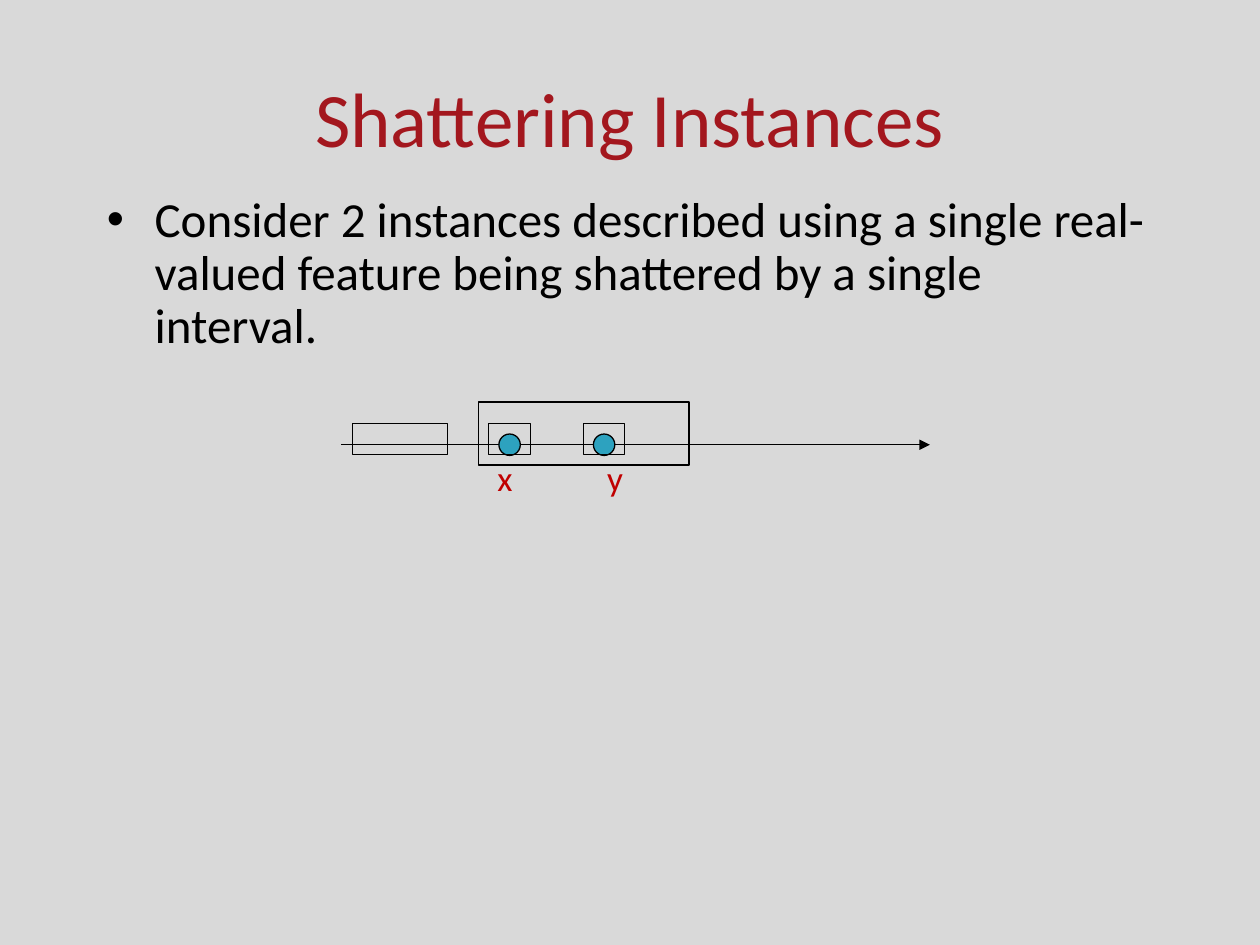
from dataclasses import dataclass

import pptx
import pptx.dml.color
import pptx.enum.shapes
import pptx.enum.text
import pptx.oxml
import pptx.oxml.ns
import pptx.util

Inches = pptx.util.Inches
Pt = pptx.util.Pt
Shape = pptx.enum.shapes.MSO_SHAPE
Align = pptx.enum.text.PP_ALIGN
Anchor = pptx.enum.text.MSO_ANCHOR

BLACK = "000000"
AXIS_Y = 3.53
POINT_SIZE = 0.17


@dataclass
class Area:
    left: float
    top: float
    width: float
    height: float

    def lengths(self) -> list:
        return [Inches(v) for v in (self.left, self.top, self.width, self.height)]


@dataclass
class Label:
    text: str
    area: Area
    size: int
    color: str
    frame_format: dict
    paragraph_format: dict


def color_of(value: str) -> pptx.dml.color.RGBColor:
    return pptx.dml.color.RGBColor.from_string(value)


def apply_format(target, values: dict) -> None:
    for name, value in values.items():
        setattr(target, name, value)


def add_element(parent, tag: str, **attributes: str) -> None:
    element = pptx.oxml.parse_xml(f"<a:{tag} {pptx.oxml.ns.nsdecls('a')}/>")
    for name, value in attributes.items():
        element.set(name, value)
    parent.append(element)


def add_label(page, label: Label):
    box = page.shapes.add_textbox(*label.area.lengths())
    apply_format(box.text_frame, {"word_wrap": True, **label.frame_format})
    para = box.text_frame.paragraphs[0]
    apply_format(para, label.paragraph_format)
    span = para.add_run()
    span.text = label.text
    apply_format(span.font, {"name": "Calibri", "size": Pt(label.size)})
    span.font.color.rgb = color_of(label.color)
    return para


def add_bullet(para, indent: float) -> None:
    properties = para._p.get_or_add_pPr()
    properties.set("marL", str(Inches(indent)))
    properties.set("indent", str(Inches(-indent)))
    add_element(properties, "buFont", typeface="Arial")
    add_element(properties, "buChar", char="•")


def style_line(line) -> None:
    line.color.rgb = color_of(BLACK)
    line.width = Pt(0.75)


def add_axis(page, start: float, end: float) -> None:
    axis = page.shapes.add_connector(
        pptx.enum.shapes.MSO_CONNECTOR.STRAIGHT,
        Inches(start), Inches(AXIS_Y), Inches(end), Inches(AXIS_Y),
    )
    style_line(axis.line)
    add_element(axis.line._get_or_add_ln(), "tailEnd", type="triangle")
    add_element(axis._element.spPr, "effectLst")


def add_outline(page, kind, area: Area, fill: str = "") -> None:
    shape = page.shapes.add_shape(kind, *area.lengths())
    shape.shadow.inherit = False
    style_line(shape.line)
    if fill:
        shape.fill.solid()
        shape.fill.fore_color.rgb = color_of(fill)
    else:
        shape.fill.background()


def main() -> None:
    deck = pptx.Presentation()
    apply_format(deck, {"slide_width": Inches(10), "slide_height": Inches(7.5)})
    page = deck.slides.add_slide(deck.slide_layouts[6])
    page.background.fill.solid()
    page.background.fill.fore_color.rgb = color_of("D9D9D9")

    add_label(page, Label(
        "Shattering Instances", Area(0.5, 0.3, 9, 1.25), 44, "A3171E",
        {"vertical_anchor": Anchor.MIDDLE}, {"alignment": Align.CENTER},
    ))
    statement = add_label(page, Label(
        "Consider 2 instances described using a single real-valued feature "
        "being shattered by a single interval.",
        Area(0.75, 1.5, 8.5, 2.67), 28, BLACK,
        {}, {"line_spacing": 0.9, "space_before": Pt(5.6)},
    ))
    add_bullet(statement, 0.38)

    add_axis(page, 2.71, 7.38)
    instances = [3.96, 4.71]
    for left in instances:
        point = Area(left, AXIS_Y - POINT_SIZE / 2, POINT_SIZE, POINT_SIZE)
        add_outline(page, Shape.OVAL, point, "2DA2BF")

    empty_interval = Area(2.8, 3.36, 0.75, 0.25)
    single_intervals = [Area(left - 0.08, 3.36, 0.33, 0.25) for left in instances]
    joint_interval = Area(3.8, 3.19, 1.67, 0.5)
    for interval in [empty_interval, *single_intervals, joint_interval]:
        add_outline(page, Shape.RECTANGLE, interval)

    for name, left in (("x", 3.85), ("y", 4.72)):
        add_label(page, Label(
            name, Area(left, 3.57, 0.33, 0.44), 20, "C00000", {}, {},
        ))

    deck.save("out.pptx")


if __name__ == "__main__":
    main()
